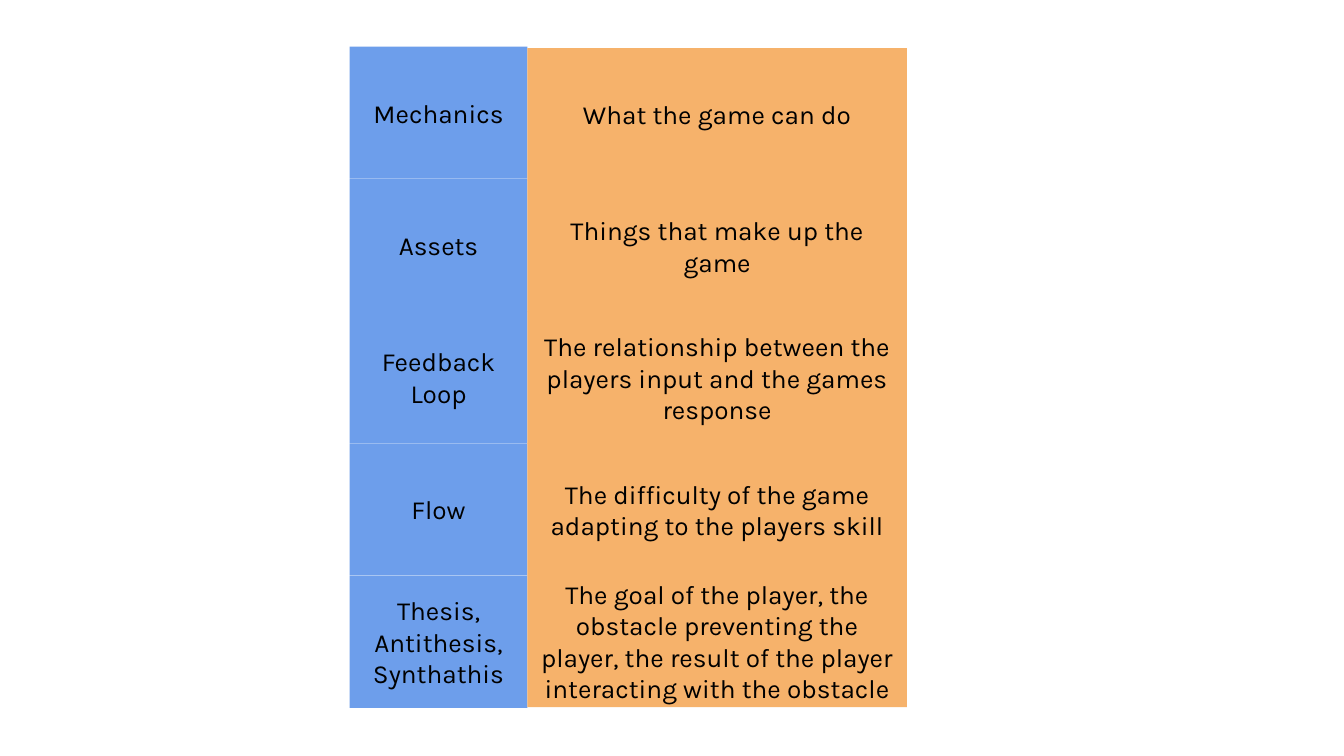
from pptx import Presentation
from pptx.dml.color import RGBColor
from pptx.enum.shapes import MSO_SHAPE
from pptx.enum.text import MSO_ANCHOR, PP_ALIGN
from pptx.util import Cm, Pt

BLUE = RGBColor(0x6D, 0x9E, 0xEB)
ORANGE = RGBColor(0xF6, 0xB2, 0x6B)
BLACK = RGBColor(0, 0, 0)

TERMS = [
    ("Mechanics", "What the game can do"),
    ("Assets", "Things that make up the game"),
    ("Feedback Loop",
     "The relationship between the players input and the games response"),
    ("Flow", "The difficulty of the game adapting to the players skill"),
    ("Thesis,\nAntithesis, Synthathis",
     "The goal of the player, the obstacle preventing the player, "
     "the result of the player interacting with the obstacle"),
]


class Deck:
    font = "Karla"
    size = Pt(14)
    inset = Cm(0.25)

    def __init__(self):
        self.prs = Presentation()
        self.prs.slide_width = Cm(25.4)
        self.prs.slide_height = Cm(14.29)
        self.slide = self.prs.slides.add_slide(self.prs.slide_layouts[6])

    def box(self, text, left, top, width, height, fill):
        box = self.slide.shapes.add_shape(
            MSO_SHAPE.RECTANGLE, Cm(left), Cm(top), Cm(width), Cm(height))
        box.shadow.inherit = False
        box.fill.solid()
        box.fill.fore_color.rgb = fill
        box.line.fill.background()
        frame = box.text_frame
        frame.word_wrap = True
        frame.vertical_anchor = MSO_ANCHOR.MIDDLE
        frame.margin_left = frame.margin_right = self.inset
        frame.margin_top = frame.margin_bottom = self.inset
        frame.text = text
        for para in frame.paragraphs:
            para.alignment = PP_ALIGN.CENTER
            para.font.name = self.font
            para.font.size = self.size
            para.font.color.rgb = BLACK

    def stack(self, texts, left, top, width, step, fill):
        """Draw one column of boxes, each a step below the last."""
        for row, text in enumerate(texts):
            self.box(text, left, top + row * step, width, 2.5, fill)


def main():
    deck = Deck()
    names, notes = zip(*TERMS)
    deck.stack(names, 6.61, 0.88, 3.36, 2.5, BLUE)
    deck.stack(notes, 9.97, 0.91, 7.17, 2.49, ORANGE)
    deck.prs.save("out.pptx")


if __name__ == "__main__":
    main()
